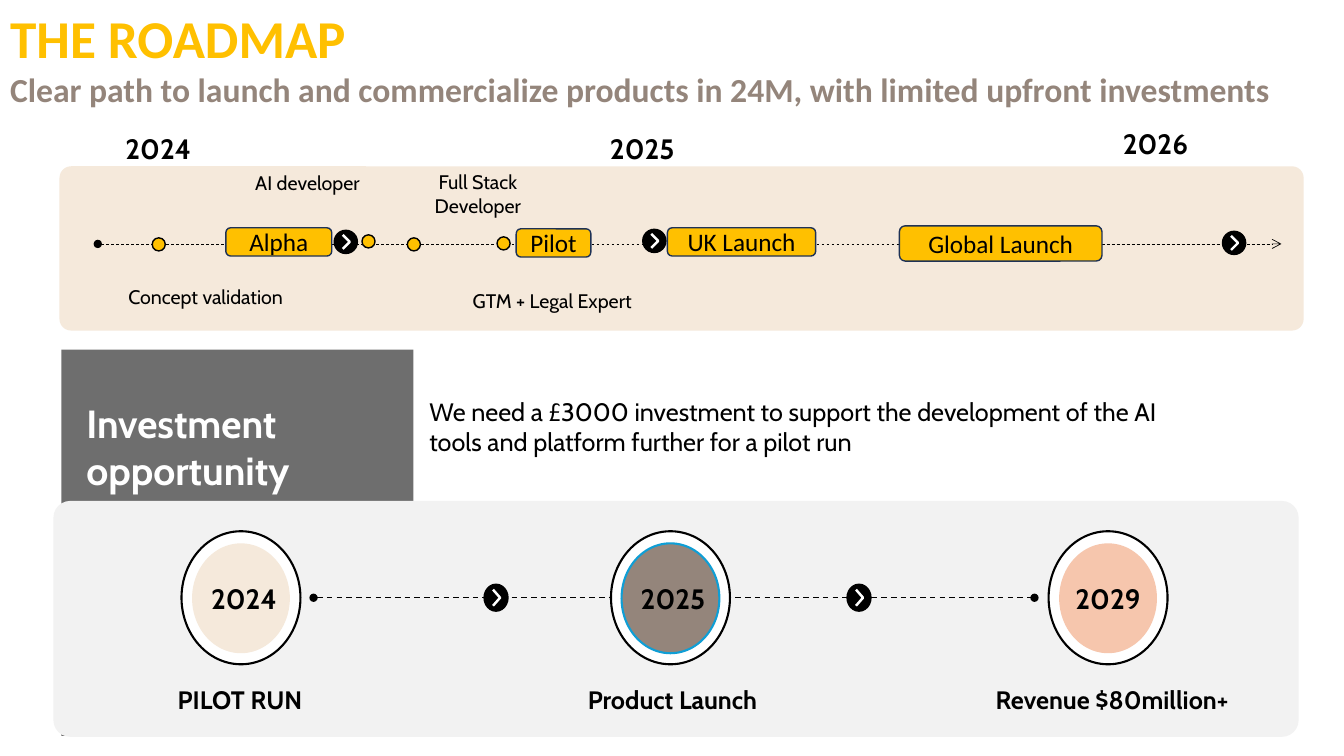
from lxml import etree
from pptx import Presentation
from pptx.dml.color import RGBColor
from pptx.enum.dml import MSO_LINE
from pptx.enum.shapes import MSO_CONNECTOR, MSO_SHAPE
from pptx.enum.text import MSO_ANCHOR, MSO_AUTO_SIZE, PP_ALIGN
from pptx.oxml.ns import qn
from pptx.util import Inches, Pt

COLORS = {
    "black": "000000", "white": "FFFFFF", "gold": "FFC000", "taupe": "94857B",
    "cream": "F5E9DB", "pale": "F2F2F2", "peach": "F6C6AD", "navy": "1E3256", "blue": "0F9ED5",
}
RGB = {name: RGBColor.from_string(value) for name, value in COLORS.items()}
LEFT, CENTER = PP_ALIGN.LEFT, PP_ALIGN.CENTER
TOP, MIDDLE = MSO_ANCHOR.TOP, MSO_ANCHOR.MIDDLE
OVAL, ROUNDED = MSO_SHAPE.OVAL, MSO_SHAPE.ROUNDED_RECTANGLE

prs = Presentation()
prs.slide_width, prs.slide_height = Inches(13.33), Inches(7.5)
s = prs.slides.add_slide(prs.slide_layouts[5])


def add_shape(kind, at, fill, line=None, width=1):
    sp = s.shapes.add_shape(kind, *map(Inches, at))
    sp.shadow.inherit = False
    sp.fill.solid()
    sp.fill.fore_color.rgb = RGB[fill]
    if line:
        sp.line.color.rgb = RGB[line]
        sp.line.width = Pt(width)
    else:
        sp.line.fill.background()
    return sp


def write(sp, lines, align=CENTER, anchor=TOP):
    """Fill a shape with paragraphs given as (text, size, font, colour, bold)."""
    tf = sp.text_frame
    tf.word_wrap = True
    tf.auto_size = MSO_AUTO_SIZE.NONE
    tf.vertical_anchor = anchor
    for i, (text, size, font, color, bold) in enumerate(lines):
        p = tf.add_paragraph() if i else tf.paragraphs[0]
        p.alignment = align
        p.space_before = Pt(0)
        r = p.add_run()
        r.text = text
        r.font.size, r.font.name, r.font.bold = Pt(size), font, bold
        r.font.color.rgb = RGB[color]


# Title and subtitle
title = s.shapes.title
title.left, title.top, title.width, title.height = map(Inches, (0, 0, 13.25, 1.78))
write(title, [
    ("THE ROADMAP", 38, "Calibri", "gold", True),
    ("Clear path to launch and commercialize products in 24M, with limited upfront investments",
     24, "Calibri", "taupe", True),
], LEFT)

# Panels
banner = add_shape(MSO_SHAPE.RECTANGLE, (0.61, 3.47, 3.49, 3.83), "black")
banner_color = banner.fill._xPr.find(".//" + qn("a:srgbClr"))
etree.SubElement(banner_color, qn("a:alpha"), val="57000")
for at, fill in [((0.59, 1.65, 12.34, 1.63), "cream"), ((0.53, 4.97, 12.35, 2.34), "pale")]:
    add_shape(ROUNDED, at, fill).adjustments[0] = 0.071

# Dashed timelines
for x1, x2, y, width, tail in [(0.97, 12.71, 2.42, 0.5, "arrow"), (3.11, 10.26, 5.93, 1, "oval")]:
    timeline = s.shapes.add_connector(MSO_CONNECTOR.STRAIGHT, *map(Inches, (x1, y, x2, y)))
    timeline.line.color.rgb = RGB["black"]
    timeline.line.width = Pt(width)
    timeline.line.dash_style = MSO_LINE.DASH
    ln = timeline.line._get_or_add_ln()
    etree.SubElement(ln, qn("a:headEnd"), type="oval")
    etree.SubElement(ln, qn("a:tailEnd"), type=tail)
    etree.SubElement(timeline._element.spPr, qn("a:effectLst"))

# Chevron badges: centre, height, outline width, chevron half height
for x, y, height, width, half in [
    (3.43, 2.4, 0.23, 1, 0.07), (6.49, 2.39, 0.23, 1, 0.07), (12.24, 2.41, 0.23, 1, 0.07),
    (4.92, 5.93, 0.26, 1.5, 0.08), (8.52, 5.93, 0.26, 1.5, 0.08),
]:
    add_shape(OVAL, (x - 0.115, y - height / 2, 0.23, height), "black", "black", width)
    path = s.shapes.build_freeform(Inches(x - 0.03), Inches(y - half))
    path.add_line_segments(
        [(Inches(x + 0.04), Inches(y)), (Inches(x - 0.03), Inches(y + half))], close=False)
    chevron = path.convert_to_shape()
    chevron.shadow.inherit = False
    chevron.fill.background()
    chevron.line.color.rgb = RGB["white"]
    chevron.line.width = Pt(1.75)

# Milestone dots and stages of the upper timeline
for x, y in [(1.51, 2.36), (3.59, 2.33), (4.04, 2.36), (4.93, 2.35)]:
    add_shape(OVAL, (x, y, 0.13, 0.13), "gold", "black")
for stage, at in [
    ("Alpha", (2.24, 2.26, 1.05, 0.28)),
    ("Pilot", (5.12, 2.27, 0.74, 0.28)),
    ("UK Launch", (6.62, 2.26, 1.47, 0.28)),
    ("Global Launch", (8.92, 2.24, 2.01, 0.35)),
]:
    pill = add_shape(ROUNDED, at, "gold", "navy")
    write(pill, [(stage, 18, "Calibri", "black", False)], CENTER, MIDDLE)

# Rings of the lower timeline
for x, fill, line in [(1.8, "cream", None), (6.06, "taupe", "blue"), (10.4, "peach", None)]:
    add_shape(OVAL, (x, 5.27, 1.18, 1.32), "white", "black", 1.5)
    add_shape(OVAL, (x + 0.105, 5.39, 0.97, 1.09), fill, line, 1.5)

# Labels: text, place, size, colour, bold, alignment, anchor
for text, at, size, color, bold, align, anchor in [
    ("2024", (1.1, 1.25, 0.94, 0.44), 20, "black", True, CENTER, MIDDLE),
    ("2025", (5.9, 1.25, 0.94, 0.44), 20, "black", True, CENTER, MIDDLE),
    ("2026", (10.99, 1.2, 0.94, 0.44), 20, "black", True, CENTER, MIDDLE),
    ("AI developer", (2.41, 1.65, 1.28, 0.57), 14, "black", False, CENTER, TOP),
    ("Full Stack Developer", (3.94, 1.64, 1.6, 0.57), 14, "black", False, CENTER, TOP),
    ("Concept validation", (0.83, 2.78, 2.42, 0.34), 14, "black", False, CENTER, TOP),
    ("GTM + Legal Expert", (4.59, 2.82, 2.24, 0.34), 14, "black", False, LEFT, TOP),
    ("Investment opportunity", (0.76, 3.91, 3.67, 1.04), 28, "white", True, LEFT, TOP),
    ("We need a £3000 investment to support the development of the AI tools and platform "
     "further for a pilot run", (4.16, 3.88, 7.9, 0.71), 18, "black", False, LEFT, TOP),
    ("2024", (1.95, 5.69, 0.94, 0.49), 20, "black", True, CENTER, MIDDLE),
    ("2025", (6.23, 5.69, 0.89, 0.49), 20, "black", True, CENTER, MIDDLE),
    ("2029", (10.5, 5.72, 0.98, 0.44), 20, "black", True, CENTER, MIDDLE),
    ("PILOT RUN", (1.14, 6.74, 2.48, 0.39), 18, "black", True, CENTER, TOP),
    ("Product Launch", (5.3, 6.74, 2.74, 0.39), 18, "black", True, CENTER, TOP),
    ("Revenue $80million+", (9.41, 6.74, 3.24, 0.4), 18, "black", True, CENTER, TOP),
]:
    label = s.shapes.add_textbox(*map(Inches, at))
    write(label, [(text, size, "Cabin", color, bold)], align, anchor)

prs.save("out.pptx")
